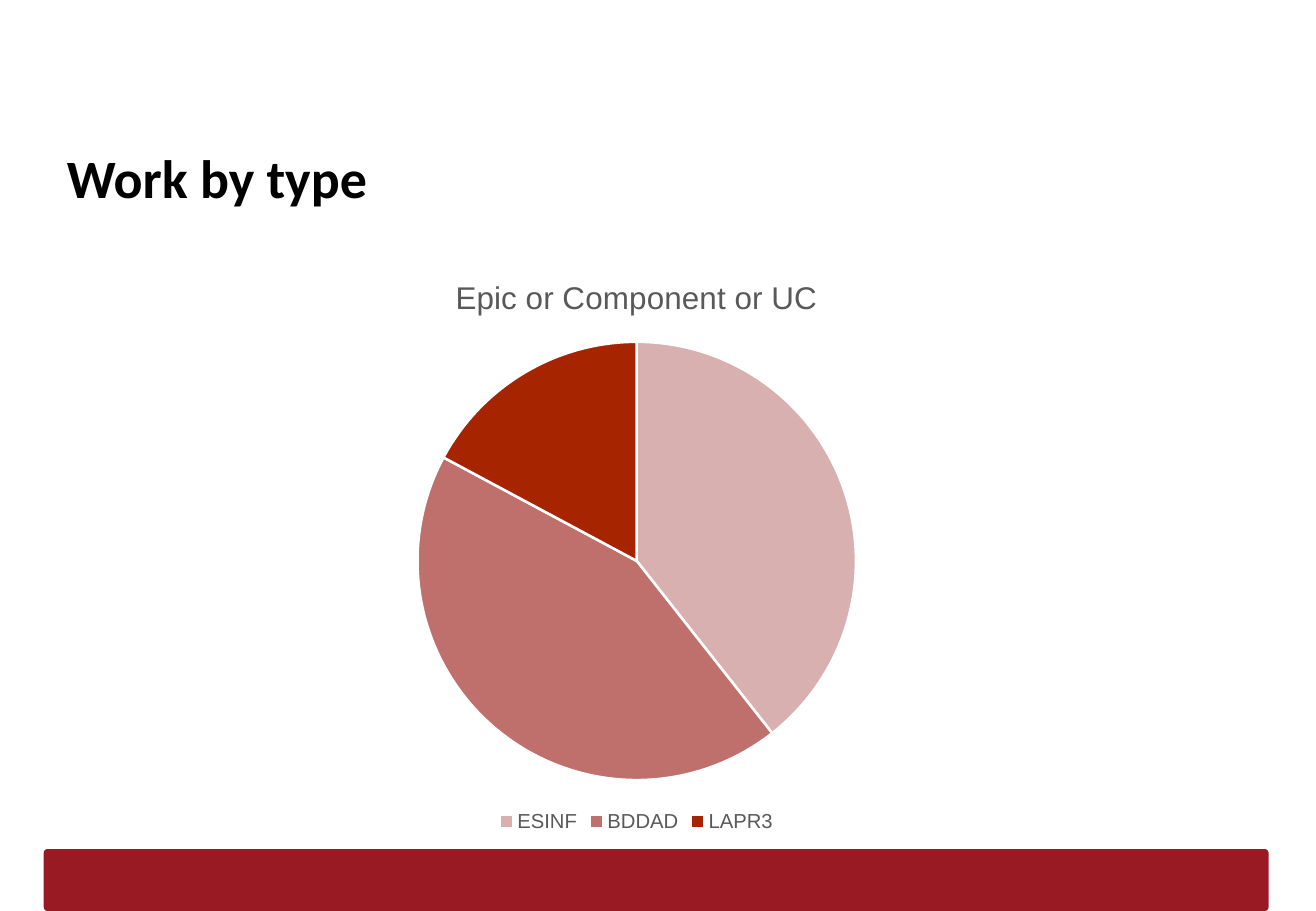
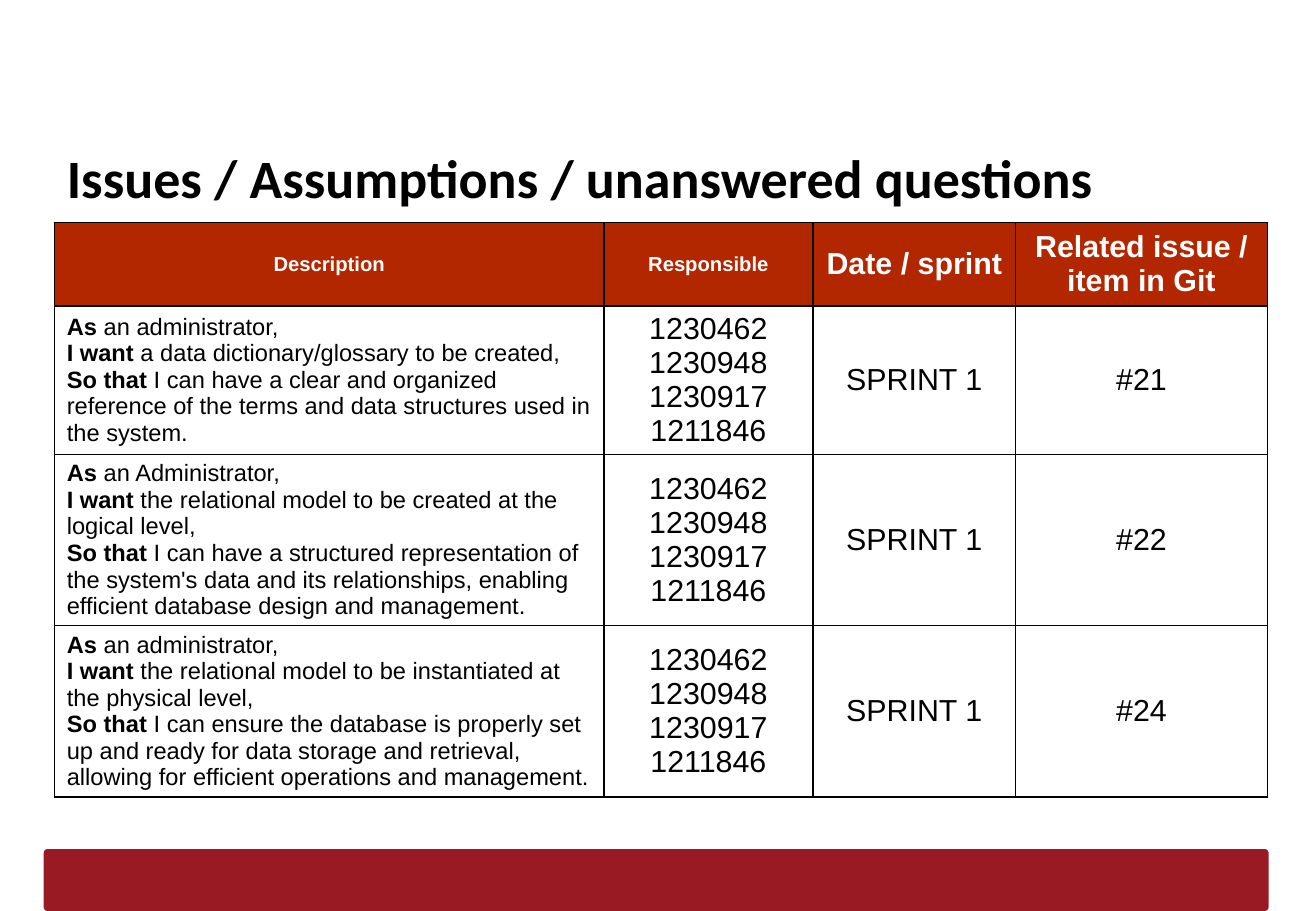
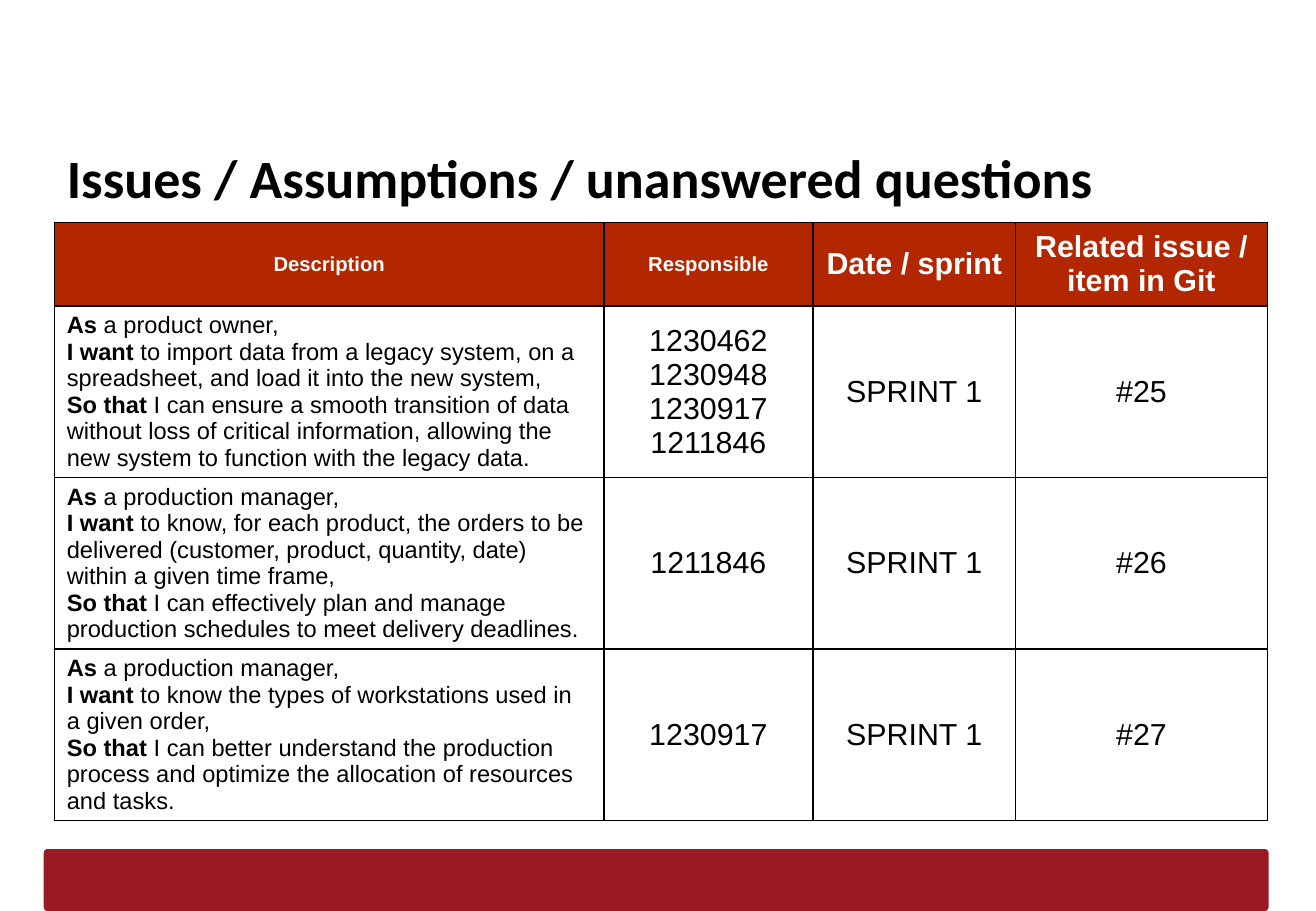
from lxml.etree import SubElement
from pptx import Presentation
from pptx.chart.data import CategoryChartData as ChartData
from pptx.dml.color import RGBColor
from pptx.enum.chart import XL_CHART_TYPE as Chart, XL_LEGEND_POSITION as Legend
from pptx.enum.shapes import MSO_SHAPE as Shape
from pptx.enum.text import MSO_ANCHOR as Anchor, MSO_AUTO_SIZE as Fit, PP_ALIGN as Align
from pptx.oxml.ns import qn
from pptx.util import Inches, Pt

BLACK = RGBColor(0x00, 0x00, 0x00)
WHITE = RGBColor(0xFF, 0xFF, 0xFF)
GREY = RGBColor(0x59, 0x59, 0x59)
BAND = RGBColor(0x9A, 0x1A, 0x24)
HEAD = RGBColor(0xB2, 0x26, 0x00)
SLICES = [RGBColor(0xD7, 0xB0, 0xAF), RGBColor(0xBF, 0x70, 0x6C), RGBColor(0xA7, 0x24, 0x00)]

COLS = [4.52, 1.72, 1.67, 2.07]
HEADS = [(["Description"], 12), (["Responsible"], 12), (["Date / sprint"], 18),
         (["Related issue /", "item in Git"], 18)]
LEADS = ["As", "I want", "So that"]
TEAM = ["1230462", "1230948", "1230917", "1211846"]
ISSUES = "Issues / Assumptions / unanswered questions"

# Each story: three clauses, people responsible, issue number
MODEL = [
    (["an administrator,",
      "a data dictionary/glossary to be created,",
      "I can have a clear and organized reference of the terms and data "
      "structures used in the system."], TEAM, "#21"),
    (["an Administrator,",
      "the relational model to be created at the logical level,",
      "I can have a structured representation of the system's data and its "
      "relationships, enabling efficient database design and management."], TEAM, "#22"),
    (["an administrator,",
      "the relational model to be instantiated at the physical level,",
      "I can ensure the database is properly set up and ready for data storage "
      "and retrieval, allowing for efficient operations and management."], TEAM, "#24"),
]
ORDERS = [
    (["a product owner,",
      "to import data from a legacy system, on a spreadsheet, and load it into "
      "the new system,",
      "I can ensure a smooth transition of data without loss of critical "
      "information, allowing the new system to function with the legacy data."], TEAM, "#25"),
    (["a production manager,",
      "to know, for each product, the orders to be delivered (customer, product, "
      "quantity, date) within a given time frame,",
      "I can effectively plan and manage production schedules to meet delivery "
      "deadlines."], ["1211846"], "#26"),
    (["a production manager,",
      "to know the types of workstations used in a given order,",
      "I can better understand the production process and optimize the "
      "allocation of resources and tasks."], ["1230917"], "#27"),
]


def style(font, size, color, face="Arial", bold=False):
    font.size, font.name, font.bold = Pt(size), face, bold
    font.color.rgb = color


def put(frame, lines, size=18, color=BLACK, face="Arial", bold=False, align=Align.CENTER):
    """Write one paragraph per line; a line is a string or (text, bold) parts."""
    for i, line in enumerate(lines):
        para = frame.paragraphs[0] if i == 0 else frame.add_paragraph()
        para.alignment = align
        parts = [(line, bold)] if isinstance(line, str) else line
        for text, heavy in parts:
            run = para.add_run()
            run.text = text
            style(run.font, size, color, face, heavy)


# Band and title shared by all slides
def base(prs, text):
    slide = prs.slides.add_slide(prs.slide_layouts[5])
    band = slide.shapes.add_shape(Shape.ROUNDED_RECTANGLE, Inches(0.36), Inches(6.99),
                                  Inches(10.08), Inches(0.51))
    band.adjustments[0] = 0.06
    band.shadow.inherit = False
    band.fill.solid()
    band.fill.fore_color.rgb = BAND
    band.line.fill.background()

    title = slide.shapes.title
    title.left, title.top = Inches(0.45), Inches(1.09)
    title.width, title.height = Inches(9.89), Inches(0.63)
    frame = title.text_frame
    frame.word_wrap, frame.auto_size = True, Fit.NONE
    frame.vertical_anchor = Anchor.TOP
    frame.margin_left = frame.margin_right = Inches(0.1)
    frame.margin_top = frame.margin_bottom = Inches(0.1)
    put(frame, [text], size=32, face="Calibri", bold=True, align=Align.LEFT)
    return slide


# Pie chart with title and legend
def pie(slide, left, top, width, height):
    data = ChartData()
    data.categories = ["ESINF", "BDDAD", "LAPR3"]
    data.add_series("Series 1", [39, 43, 17])
    chart = slide.shapes.add_chart(Chart.PIE, Inches(left), Inches(top),
                                   Inches(width), Inches(height), data).chart
    style(chart.font, 10, BLACK)
    chart.has_title = True
    put(chart.chart_title.text_frame, ["Epic or Component or UC"], size=18.6, color=GREY)
    chart.chart_title.include_in_layout = False
    chart.has_legend = True
    chart.legend.position = Legend.BOTTOM
    chart.legend.include_in_layout = False
    style(chart.legend.font, 12, GREY)
    plot = chart.plots[0]
    plot.vary_by_categories = True
    for i, color in enumerate(SLICES):
        part = plot.series[0].points[i].format
        part.fill.solid()
        part.fill.fore_color.rgb = color
        part.line.color.rgb = WHITE
        part.line.width = Pt(1.5)


# Black outline, fill and anchor of one table cell
def dress(cell, fill=None):
    props = cell._tc.get_or_add_tcPr()
    for side in ("a:lnL", "a:lnR", "a:lnT", "a:lnB"):
        line = SubElement(props, qn(side), w=str(Pt(1)))
        SubElement(SubElement(line, qn("a:solidFill")), qn("a:srgbClr"), val=str(BLACK))
    if fill is None:
        cell.fill.background()
    else:
        cell.fill.solid()
        cell.fill.fore_color.rgb = fill
    cell.vertical_anchor = Anchor.MIDDLE


# Table of user stories
def grid(slide, left, top, rows, stories):
    table = slide.shapes.add_table(len(rows), len(COLS), Inches(left), Inches(top),
                                   Inches(sum(COLS)), Inches(sum(rows))).table
    table.horz_banding = False
    for col, width in zip(table.columns, COLS):
        col.width = Inches(width)
    for row, height in zip(table.rows, rows):
        row.height = Inches(height)
    for i, (lines, size) in enumerate(HEADS):
        cell = table.cell(0, i)
        dress(cell, HEAD)
        put(cell.text_frame, lines, size=size, color=WHITE, bold=True)
    for r, (clauses, people, issue) in enumerate(stories, 1):
        cells = [table.cell(r, c) for c in range(len(COLS))]
        for cell in cells:
            dress(cell)
        story = [[(lead, True), (" " + text, False)] for lead, text in zip(LEADS, clauses)]
        put(cells[0].text_frame, story, size=14, align=Align.LEFT)
        for cell, lines in zip(cells[1:], [people, ["SPRINT 1"], [issue]]):
            put(cell.text_frame, lines)


def main():
    prs = Presentation()
    prs.slide_width, prs.slide_height = Inches(10.83), Inches(7.5)
    pie(base(prs, "Work by type"), 1.63, 2.08, 7.22, 4.81)
    grid(base(prs, ISSUES), 0.45, 1.83, [0.69, 1.22, 1.41, 1.41], MODEL)
    grid(base(prs, ISSUES), 0.45, 1.83, [0.69, 1.41, 1.41, 1.41], ORDERS)
    prs.save("out.pptx")


if __name__ == "__main__":
    main()
